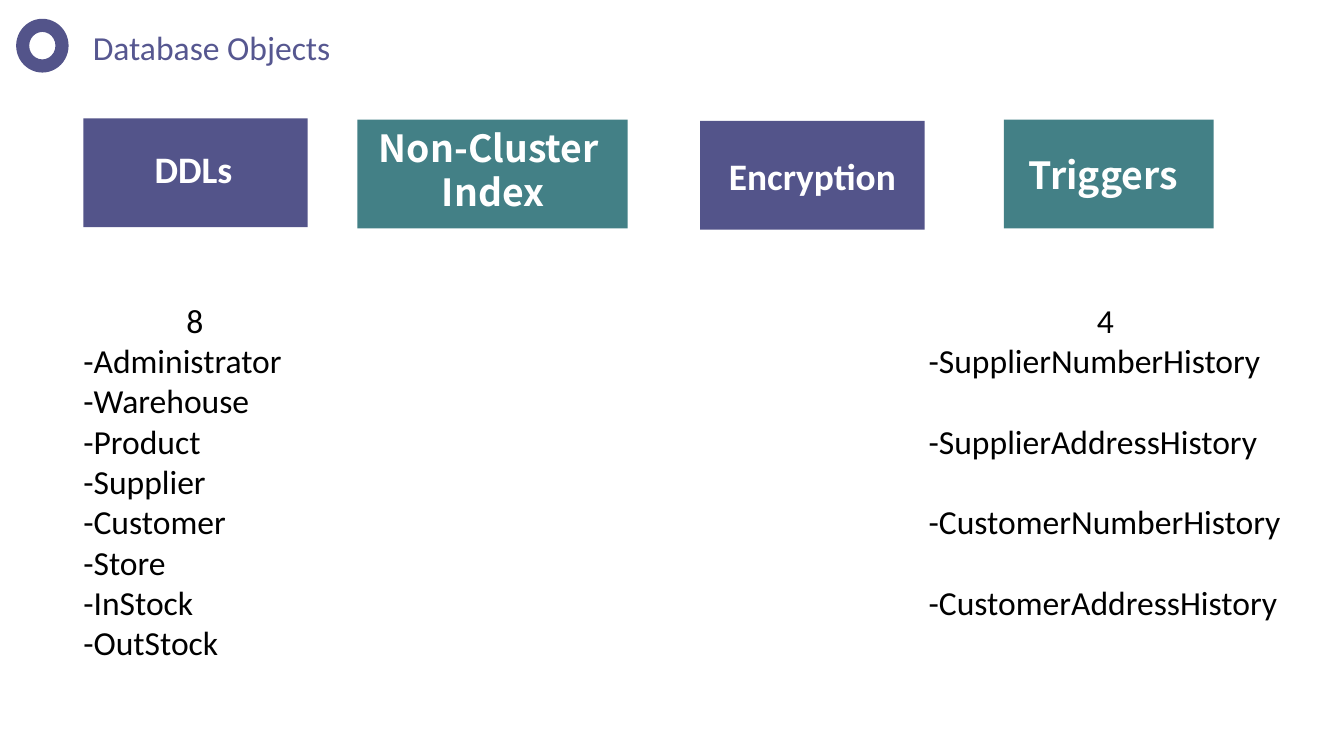
"""Build the Database Objects slide."""
import pptx
import pptx.dml.color
import pptx.enum.shapes
import pptx.enum.text
import pptx.oxml.ns
import pptx.util
from lxml import etree

COLORS = {"purple": "53548A", "title": "565790", "teal": "438086",
          "white": "FFFFFF", "black": "000000"}
LATIN, HEAVY = "Calibri", "Noto Sans CJK SC"
SLIDE_WIDTH = 10
SLIDE_HEIGHT = SLIDE_WIDTH * 9 / 16
LINE = 21.6
HEADER_HEIGHT = 0.81

HEADERS = [
    {"lines": ["DDLs"], "color": "purple", "font": LATIN,
     "box": (0.62, 0.88, 1.67), "label": (0.69, 1.04, 1.5, 0.44)},
    {"lines": ["Encryption"], "color": "purple", "font": LATIN,
     "box": (5.21, 0.9, 1.67), "label": None},
    {"lines": ["Non-Cluster ", "Index"], "color": "teal", "font": HEAVY,
     "box": (2.66, 0.89, 2.01), "label": (2.67, 0.88, 2, 0.77)},
    {"lines": ["Triggers"], "color": "teal", "font": HEAVY,
     "box": (7.47, 0.89, 1.56), "label": (7.43, 1.08, 1.56, 0.44)},
]
LISTS = [
    {"count": "8", "box": (0.52, 2.18, 1.86, 3.13), "gap": 0,
     "names": ["Administrator", "Warehouse", "Product", "Supplier",
               "Customer", "Store", "InStock", "OutStock"]},
    {"count": "4", "box": (6.81, 2.18, 2.83, 3.13), "gap": LINE,
     "names": ["SupplierNumberHistory", "SupplierAddressHistory",
               "CustomerNumberHistory", "CustomerAddressHistory"]},
]
ALIGN = pptx.enum.text.PP_ALIGN
ANCHOR = pptx.enum.text.MSO_ANCHOR
SHAPE = pptx.enum.shapes.MSO_SHAPE


def inches(*lengths):
    return [pptx.util.Inches(length) for length in lengths]


def rgb(color):
    return pptx.dml.color.RGBColor.from_string(COLORS[color])


def place(placeholder, box):
    placeholder.left, placeholder.top, placeholder.width, placeholder.height = inches(*box)


def write(frame, lines, size=18, font=LATIN, color="black", bold=False,
          align=ALIGN.CENTER, anchor=ANCHOR.TOP, wrap=True):
    frame.word_wrap = wrap
    frame.auto_size = pptx.enum.text.MSO_AUTO_SIZE.NONE
    frame.vertical_anchor = anchor
    for index, line in enumerate(lines):
        paragraph = frame.add_paragraph() if index else frame.paragraphs[0]
        paragraph.alignment = align
        paragraph.space_before = pptx.util.Pt(0)
        run = paragraph.add_run()
        run.text = line
        run.font.size = pptx.util.Pt(size)
        run.font.name = font
        run.font.bold = bold
        run.font.color.rgb = rgb(color)


def add_block(shapes, kind, box, color):
    block = shapes.add_shape(kind, *inches(*box))
    block.shadow.inherit = False
    block.fill.solid()
    block.fill.fore_color.rgb = rgb(color)
    block.line.fill.background()
    return block


deck = pptx.Presentation()
deck.slide_width, deck.slide_height = inches(SLIDE_WIDTH, SLIDE_HEIGHT)
slide = deck.slides.add_slide(deck.slide_layouts[3])
heading, *bodies = list(slide.placeholders)[:3]

add_block(slide.shapes, SHAPE.DONUT, (0.12, 0.14, 0.39, 0.4), "purple")
place(heading, (0.59, 0.15, 1.99, 0.4))
write(heading.text_frame, ["Database Objects"], color="title",
      align=ALIGN.LEFT, anchor=ANCHOR.MIDDLE, wrap=False)

for header in HEADERS:
    look = {"size": 20, "font": header["font"], "color": "white", "bold": True}
    box = (*header["box"], HEADER_HEIGHT)
    if header["label"]:
        group = slide.shapes.add_group_shape()
        add_block(group.shapes, SHAPE.RECTANGLE, box, header["color"])
        label = group.shapes.add_textbox(*inches(*header["label"]))
        write(label.text_frame, header["lines"], **look)
    else:
        block = add_block(slide.shapes, SHAPE.RECTANGLE, box, header["color"])
        write(block.text_frame, header["lines"], anchor=ANCHOR.MIDDLE, **look)

for body, listing in zip(bodies, LISTS):
    place(body, listing["box"])
    names = ["-" + name for name in listing["names"]]
    write(body.text_frame, [listing["count"], *names], align=ALIGN.LEFT)
    count, *entries = body.text_frame.paragraphs
    count.alignment = ALIGN.CENTER
    for entry in entries[:-1]:
        entry.space_after = pptx.util.Pt(listing["gap"])
    for paragraph in (count, *entries):
        paragraph.line_spacing = pptx.util.Pt(LINE)
        properties = paragraph._p.get_or_add_pPr()
        properties.set("marL", "0")
        properties.set("indent", "0")
        etree.SubElement(properties, pptx.oxml.ns.qn("a:buNone"))

deck.save("out.pptx")
